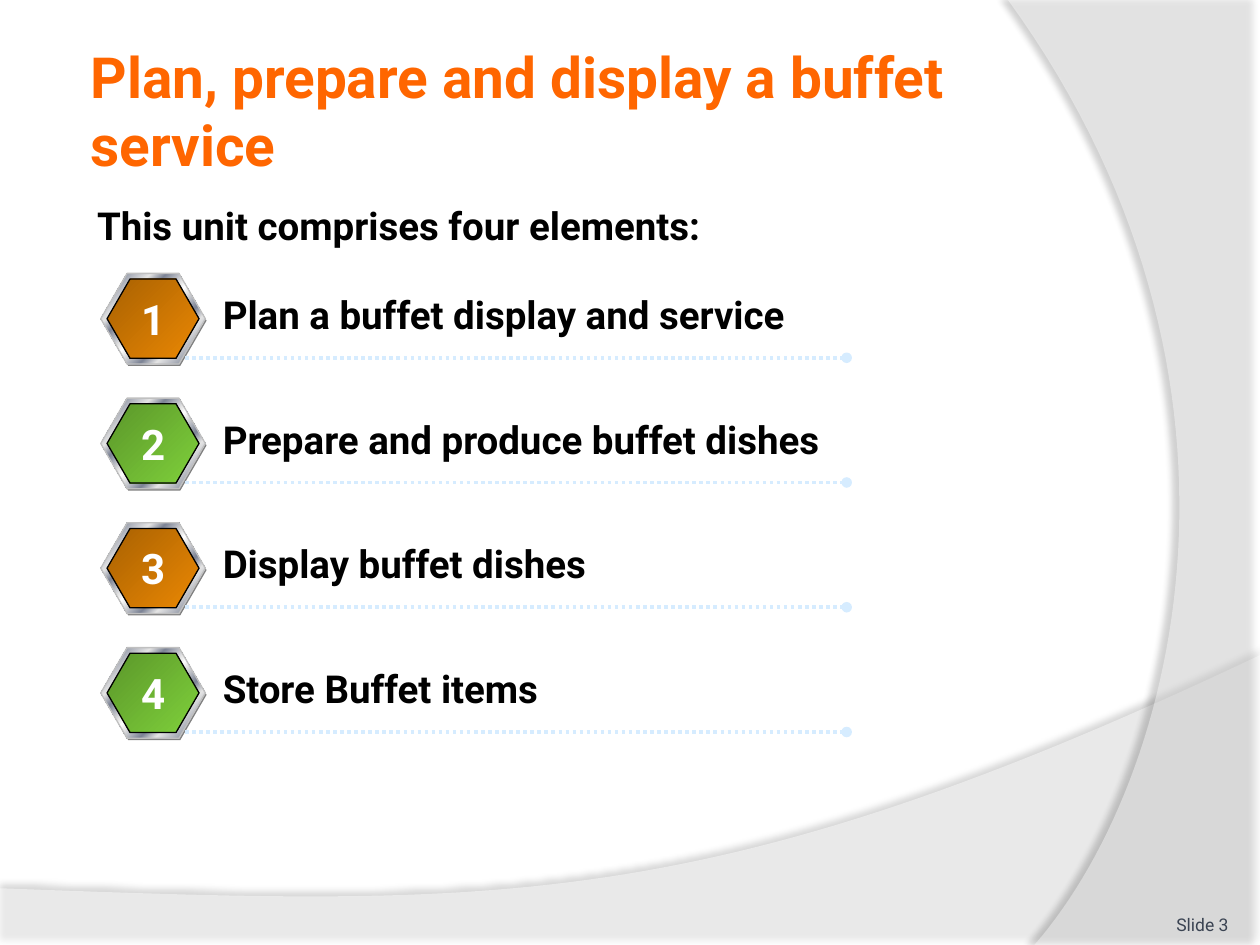
from lxml.etree import SubElement
from pptx import Presentation
from pptx.dml.color import RGBColor
from pptx.enum.dml import MSO_LINE
from pptx.enum.shapes import MSO_CONNECTOR, MSO_SHAPE
from pptx.enum.text import MSO_ANCHOR as Anchor, MSO_AUTO_SIZE as Fit, PP_ALIGN as Align
from pptx.oxml.ns import qn
from pptx.util import Inches, Pt

TITLE = "Plan, prepare and display a buffet service"
LEAD = "This unit comprises four elements:"
ITEMS = [
    "Plan a buffet display and service",
    "Prepare and produce buffet dishes",
    "Display buffet dishes",
    "Store Buffet items",
]
PAGE = "Slide 3"

ORANGE = RGBColor(0xFF, 0x66, 0x00)
BLACK = RGBColor(0x00, 0x00, 0x00)
WHITE = RGBColor(0xFF, 0xFF, 0xFF)
SLATE = RGBColor(0x3A, 0x43, 0x52)
GREY = RGBColor(0x80, 0x80, 0x80)
SILVER = RGBColor(0xC0, 0xC0, 0xC0)
SKY = RGBColor(0xD6, 0xEC, 0xFF)
LIGHT = RGBColor(0xE6, 0xE6, 0xE6)
STEEL = RGBColor(0x7D, 0x84, 0x96)
METAL = [(0, LIGHT), (8, STEEL), (26, LIGHT), (34, STEEL), (46, LIGHT), (50, WHITE),
         (54, LIGHT), (66, STEEL), (74, LIGHT), (92, STEEL), (100, LIGHT)]
BROWN = [(0, RGBColor(0xA8, 0x61, 0x02)), (100, RGBColor(0xEB, 0x88, 0x03))]
GREEN = [(0, RGBColor(0x5B, 0x96, 0x2A)), (100, RGBColor(0x7F, 0xD1, 0x3B))]

WAVES = [
    {"edge": [(0, 94), (0, 100), (100, 100)],
     "curve": [(100, 69.33), (55.9, 97.2), (39.1, 95.87), (0, 94)],
     "fill": 45, "shade": 35, "dist": 3.5, "turn": 270},
    {"edge": [(100, 0), (100, 100)],
     "curve": [(82.1, 100), (93.5, 82.53), (101.8, 40), (80, 0)],
     "fill": 40, "shade": 45, "dist": 4, "turn": 180},
]
TOP, PITCH, STEPS = 28.93, 13.2, 60

deck = Presentation()
deck.slide_width, deck.slide_height = Inches(10), Inches(7.5)
slide = deck.slides.add_slide(deck.slide_layouts[1])
shapes = slide.shapes


def spot(x, y):
    """Turn shares of the slide in percent into lengths."""
    return round(deck.slide_width * x / 100), round(deck.slide_height * y / 100)


def write(shape, text, size, color, font="Roboto", bold=True, align=Align.LEFT,
          anchor=Anchor.TOP, wrap=True, inset=None):
    """Put one formatted paragraph in a shape."""
    frame = shape.text_frame
    frame.auto_size, frame.word_wrap = Fit.NONE, wrap
    frame.vertical_anchor = anchor
    if inset is not None:
        frame.margin_left = frame.margin_right = Inches(inset)
        frame.margin_top = frame.margin_bottom = Inches(inset)
    frame.text = text
    para = frame.paragraphs[0]
    para.alignment, para.space_before = align, Pt(0)
    para.font.name, para.font.size = font, Pt(size)
    para.font.bold, para.font.color.rgb = bold, color
    return para


def move(shape, x, y, w, h):
    """Place a shape by shares of the slide."""
    shape.left, shape.top = spot(x, y)
    shape.width, shape.height = spot(w, h)
    return shape


def label(box, *args, **style):
    """Add a text box."""
    return write(shapes.add_textbox(*spot(*box[:2]), *spot(*box[2:])), *args, **style)


def fade(fill, stops):
    """Give a fill a diagonal gradient."""
    fill.gradient()
    fill.gradient_angle = 315
    bag = fill.gradient_stops[0]._gs.getparent()
    for old in list(bag):
        bag.remove(old)
    for pos, color in stops:
        stop = SubElement(bag, qn("a:gs"), pos=str(pos * 1000))
        SubElement(stop, qn("a:srgbClr"), val=str(color))


def hexagon(box, paint, edge=None):
    """Add a hexagon with a plain or gradient fill."""
    shape = shapes.add_shape(MSO_SHAPE.HEXAGON, *spot(*box[:2]), *spot(*box[2:]))
    shape.adjustments[0] = 0.29
    shape.shadow.inherit = False
    if isinstance(paint, list):
        fade(shape.fill, paint)
    else:
        shape.fill.solid()
        shape.fill.fore_color.rgb = paint
    if edge is None:
        shape.line.fill.background()
    else:
        shape.line.color.rgb, shape.line.width = edge, Pt(0.75)


def bend(ends):
    """Sample a cubic curve."""
    for step in range(STEPS + 1):
        t = step / STEPS
        parts = ((1 - t) ** 3, 3 * t * (1 - t) ** 2, 3 * t * t * (1 - t), t ** 3)
        yield tuple(sum(p * end[axis] for p, end in zip(parts, ends)) for axis in (0, 1))


def wave(data, layer):
    """Add a translucent backdrop with a soft shadow."""
    points = [spot(*p) for p in data["edge"] + list(bend(data["curve"]))]
    pen = shapes.build_freeform(*points[0])
    pen.add_line_segments(points[1:], close=True)
    shape = pen.convert_to_shape()
    shape.fill.solid()
    shape.fill.fore_color.rgb = WHITE
    shape.line.fill.background()
    shape.shadow.inherit = False
    props = shape._element.spPr
    tint = props.find(qn("a:solidFill"))[0]
    SubElement(tint, qn("a:alpha"), val=str(data["fill"] * 1000))
    shade = SubElement(props.find(qn("a:effectLst")), qn("a:outerShdw"),
                       blurRad=str(Pt(4)), dist=str(Pt(data["dist"])),
                       dir=str(data["turn"] * 60000), algn="ctr", rotWithShape="0")
    tone = SubElement(shade, qn("a:srgbClr"), val=str(BLACK))
    SubElement(tone, qn("a:alpha"), val=str(data["shade"] * 1000))
    shapes._spTree.insert(2 + layer, shape._element)


def rule(y):
    """Add a dotted line with a round end."""
    line = shapes.add_connector(MSO_CONNECTOR.STRAIGHT, *spot(14.7, y), *spot(67.2, y))
    line.line.color.rgb, line.line.width = SKY, Pt(2)
    line.line.dash_style = MSO_LINE.ROUND_DOT
    SubElement(line.line._ln, qn("a:tailEnd"), type="oval")
    SubElement(line._element.spPr, qn("a:effectLst"))


for layer, data in enumerate(WAVES):
    wave(data, layer)

write(move(shapes.title, 6.7, 4.8, 81.9, 13.6), TITLE, 32.4, ORANGE,
      anchor=Anchor.MIDDLE, inset=0.05)
lead = write(move(slide.placeholders[1], 6.7, 20.67, 81.7, 68.13), LEAD, 22, BLACK)
lead.space_after = Pt(12)
props = lead._p.get_or_add_pPr()
props.set("marL", "0")
props.set("indent", "0")
props.insert_element_before(props.makeelement(qn("a:buNone")), "a:tabLst", "a:defRPr")
label((89.2, 93.6, 8.3, 5.33), PAGE, 10, SLATE, bold=False,
      align=Align.RIGHT, anchor=Anchor.BOTTOM, inset=0)

for row, item in enumerate(ITEMS):
    y = TOP + row * PITCH
    hexagon((8.1, y + 0.2, 8.3, 9.6), GREY)
    hexagon((8, y, 8.3, 9.6), METAL, SILVER)
    hexagon((8.5, y + 0.6, 7.3, 8.4), GREEN if row % 2 else BROWN, BLACK)
    rule(y + 8.93)
    label((16.7, y + 1.2, 66.4, 6.27), item, 22, BLACK)
    label((10.2, y + 1.47, 3.9, 6.67), str(row + 1), 24, WHITE, align=Align.CENTER, wrap=False)

deck.save("out.pptx")
